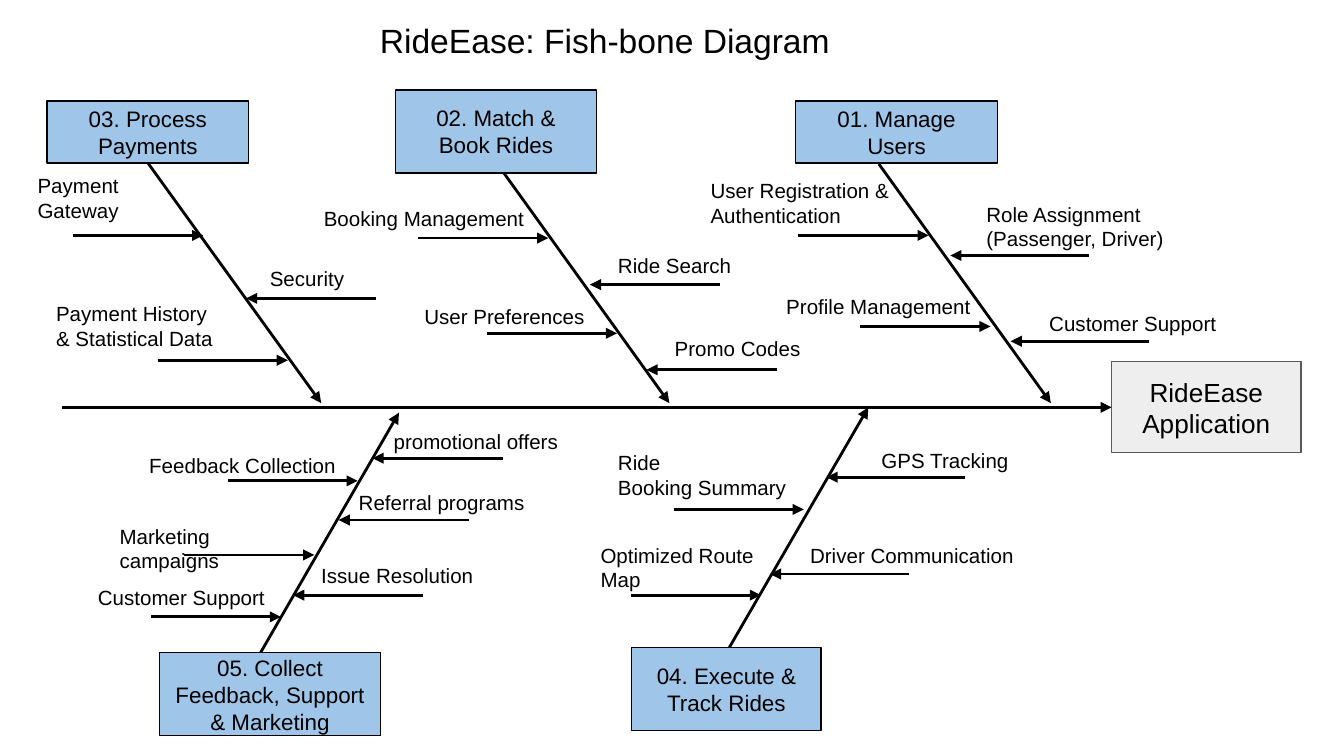
import dataclasses
import typing

import pptx
import pptx.dml.color
import pptx.enum.shapes
import pptx.enum.text
import pptx.oxml.ns
import pptx.util
from lxml import etree
from pptx.util import Cm

COLORS = {
    "ink": "000000",
    "category": "9FC5E8",
    "effect": "EEEEEE",
    "effect_edge": "595959",
}
FONT = "Arial"
INSETS = {
    "margin_left": Cm(0.25),
    "margin_top": Cm(0.25),
    "margin_right": Cm(0.25),
    "margin_bottom": Cm(0.25),
    "word_wrap": True,
}
TWIG = 2.46
LONG_TWIG = 2.62
SPINE_Y = 7.70


class Point(typing.NamedTuple):
    x: float
    y: float


class Area(typing.NamedTuple):
    left: float
    top: float
    width: float
    height: float


@dataclasses.dataclass
class Cause:
    """A label and its twig; a positive reach starts the twig right of its tip."""
    text: str
    area: Area
    tip: Point
    reach: float


@dataclasses.dataclass
class Branch:
    title: str
    area: Area
    root: Point
    tip: Point
    causes: list[Cause]
    joined: bool = False


BRANCHES = [
    Branch("03. Process Payments", Area(0.89, 1.91, 3.81, 1.17), Point(2.80, 3.08), Point(6.07, 7.62), [
        Cause("Payment Gateway", Area(0.46, 3.02, 3.25, 1.22), Point(3.84, 4.45), -TWIG),
        Cause("Security", Area(4.85, 4.80, 4.19, 1.47), Point(4.65, 5.64), TWIG),
        Cause("Payment History\n& Statistical Data", Area(0.81, 5.44, 3.99, 1.22), Point(5.44, 6.81), -TWIG),
    ], joined=True),
    Branch("02. Match & Book Rides", Area(7.47, 1.70, 3.81, 1.57), Point(9.40, 3.10), Point(12.65, 7.62), [
        Cause("Booking Management", Area(5.87, 3.66, 4.29, 1.22), Point(10.36, 4.50), -TWIG),
        Cause("Ride Search", Area(11.43, 4.55, 4.19, 1.22), Point(11.15, 5.38), TWIG),
        Cause("User Preferences", Area(7.77, 5.51, 4.72, 0.91), Point(11.66, 6.30), -TWIG),
        Cause("Promo Codes", Area(12.50, 6.12, 4.19, 1.22), Point(12.22, 6.99), TWIG),
    ]),
    Branch("01. Manage Users", Area(15.04, 1.91, 3.81, 1.17), Point(16.61, 3.10), Point(19.86, 7.62), [
        Cause("User Registration & Authentication", Area(13.18, 3.12, 5.33, 1.22), Point(17.55, 4.45), -TWIG),
        Cause("Role Assignment (Passenger, Driver)", Area(18.39, 3.56, 4.50, 1.22), Point(17.96, 4.83), LONG_TWIG),
        Cause("Profile Management", Area(14.61, 5.33, 4.50, 1.22), Point(18.72, 6.17), -TWIG),
        Cause("Customer Support", Area(19.58, 5.64, 4.50, 1.22), Point(19.10, 6.45), LONG_TWIG),
    ]),
    Branch("04. Execute & Track Rides", Area(11.94, 12.24, 3.58, 1.57), Point(13.69, 12.40), Point(16.41, 7.70), [
        Cause("GPS Tracking", Area(16.41, 8.23, 3.66, 0.84), Point(15.62, 9.02), LONG_TWIG),
        Cause("Ride\nBooking Summary", Area(11.43, 8.26, 3.76, 1.22), Point(15.19, 9.63), -TWIG),
        Cause("Driver Communication", Area(15.06, 10.03, 4.50, 1.22), Point(14.55, 10.85), LONG_TWIG),
        Cause("Optimized Route Map", Area(11.10, 10.01, 3.76, 0.99), Point(14.38, 11.25), -TWIG),
    ]),
    Branch("05. Collect Feedback, Support & Marketing", Area(3.02, 12.34, 4.17, 1.57),
           Point(4.83, 12.50), Point(7.54, 7.80), [
        Cause("promotional offers", Area(7.19, 7.87, 4.57, 1.22), Point(7.04, 8.66), TWIG),
        Cause("Feedback Collection", Area(2.57, 8.33, 4.17, 0.84), Point(6.76, 9.09), -TWIG),
        Cause("Referral programs", Area(6.53, 9.02, 3.76, 0.71), Point(6.40, 9.83), TWIG),
        Cause("Marketing campaigns", Area(2.01, 9.65, 4.00, 0.89), Point(5.94, 10.49), -TWIG),
        Cause("Issue Resolution", Area(5.82, 10.41, 3.56, 1.22), Point(5.54, 11.25), TWIG),
        Cause("Customer Support", Area(1.60, 10.82, 4.32, 1.22), Point(5.31, 11.66), -TWIG),
    ]),
]


def rgb(name: str) -> pptx.dml.color.RGBColor:
    return pptx.dml.color.RGBColor.from_string(COLORS[name])


def write_text(shape, text: str, size: float, alignment) -> None:
    frame = shape.text_frame
    for name, value in INSETS.items():
        setattr(frame, name, value)
    frame.text = text
    for paragraph in frame.paragraphs:
        paragraph.alignment = alignment
        for run in paragraph.runs:
            for name, value in {"name": FONT, "size": pptx.util.Pt(size)}.items():
                setattr(run.font, name, value)
            run.font.color.rgb = rgb("ink")


def draw_arrow(slide, start: Point, tip: Point):
    arrow = slide.shapes.add_connector(
        pptx.enum.shapes.MSO_CONNECTOR.STRAIGHT, *map(Cm, (*start, *tip)))
    arrow.line.width = pptx.util.Pt(1.5)
    arrow.line.color.rgb = rgb("ink")
    qualified = pptx.oxml.ns.qn
    etree.SubElement(arrow.line._get_or_add_ln(), qualified("a:tailEnd"), type="triangle")
    etree.SubElement(arrow._element.spPr, qualified("a:effectLst"))
    return arrow


def draw_box(slide, text: str, area: Area, size: float, fill: str, edge: str):
    box = slide.shapes.add_shape(
        pptx.enum.shapes.MSO_SHAPE.RECTANGLE, *map(Cm, area))
    box.shadow.inherit = False
    box.fill.solid()
    box.fill.fore_color.rgb = rgb(fill)
    box.line.color.rgb = rgb(edge)
    box.line.width = pptx.util.Pt(0.75)
    write_text(box, text, size, pptx.enum.text.PP_ALIGN.CENTER)
    box.text_frame.vertical_anchor = pptx.enum.text.MSO_ANCHOR.MIDDLE
    return box


def draw_label(slide, text: str, area: Area, size: float = 11) -> None:
    label = slide.shapes.add_textbox(*map(Cm, area))
    write_text(label, text, size, pptx.enum.text.PP_ALIGN.LEFT)


def draw_branch(slide, branch: Branch) -> None:
    rib = draw_arrow(slide, branch.root, branch.tip)
    box = draw_box(slide, branch.title, branch.area, 12, "category", "ink")
    if branch.joined:
        rib.begin_connect(box, 2)
    for cause in branch.causes:
        draw_arrow(slide, Point(cause.tip.x + cause.reach, cause.tip.y), cause.tip)
        draw_label(slide, cause.text, cause.area)


def main() -> None:
    presentation = pptx.Presentation()
    presentation.slide_width = Cm(25.4)
    presentation.slide_height = Cm(14.29)
    slide = presentation.slides.add_slide(presentation.slide_layouts[6])

    draw_label(slide, "RideEase: Fish-bone Diagram", Area(6.93, 0.12, 9.30, 1.20), 18)
    spine = draw_arrow(slide, Point(1.17, SPINE_Y), Point(21.01, SPINE_Y))
    effect = draw_box(slide, "RideEase\nApplication", Area(21.01, SPINE_Y - 0.86, 3.58, 1.72),
                      14, "effect", "effect_edge")
    spine.end_connect(effect, 1)
    for branch in BRANCHES:
        draw_branch(slide, branch)
    presentation.save("out.pptx")


if __name__ == "__main__":
    main()
